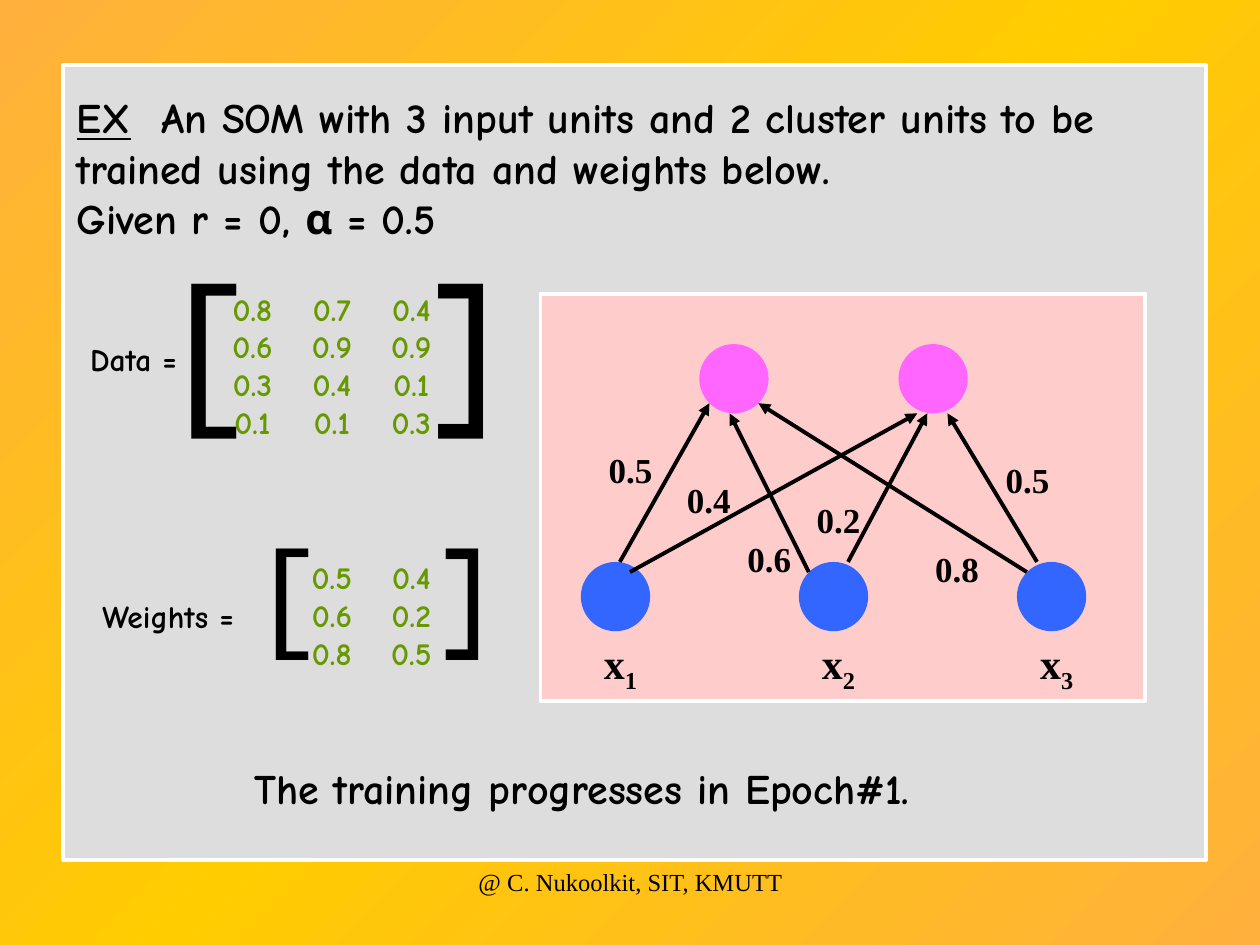
from copy import deepcopy

from pptx import Presentation
from pptx.dml.color import RGBColor
from pptx.enum import shapes, text
from pptx.oxml.ns import qn
from pptx.oxml.xmlchemy import OxmlElement
from pptx.util import Pt

BLACK = RGBColor(0, 0, 0)
WHITE = RGBColor(0xFF, 0xFF, 0xFF)
ORANGE = RGBColor(0xFF, 0xB0, 0x3D)
YELLOW = RGBColor(0xFF, 0xCC, 0x00)
GREY = RGBColor(0xDD, 0xDD, 0xDD)
ROSE = RGBColor(0xFF, 0xCC, 0xCC)
PINK = RGBColor(0xFF, 0x66, 0xFF)
BLUE = RGBColor(0x33, 0x66, 0xFF)
GREEN = RGBColor(0x66, 0x99, 0x00)
COMIC, SERIF, BRACKET = "Comic Neue", "Times New Roman", "Cabin"

HEADING = ("  An SOM with 3 input units and 2 cluster units to be trained "
           "using the data and weights below. ")
GIVEN = "Given r = 0, α = 0.5"
CLOSING = "The training progresses in Epoch#1."
FOOTER = "@ C. Nukoolkit, SIT, KMUTT"

# Matrices: label box (left, top, width), top of the numbers,
# bracket lefts, bracket top, bracket size
MATRICES = [
    dict(label="Data =", label_box=(31, 190.8, 90.7), top=162,
         rows=[(0.8, 0.7, 0.4), (0.6, 0.9, 0.9), (0.3, 0.4, 0.1), (0.1, 0.1, 0.3)],
         brackets=(93.6, 241.2), bracket_top=133.9, bracket_size=100),
    dict(label="Weights =", label_box=(36.7, 337.7, 118.8), top=315.4,
         rows=[(0.5, 0.4), (0.6, 0.2), (0.8, 0.5)],
         brackets=(139, 241.2), bracket_top=292.3, bracket_size=72),
]
LAST_COLUMN, COLUMN_STEP, COLUMN_WIDTH = 206.6, 45.4, 56.9

UNIT = 39.6
CLUSTER_LEFTS, CLUSTER_TOP = (399.6, 513.4), 196.6
INPUT_LEFT, INPUT_STEP, INPUT_TOP = 331.9, 124.6, 321.1
LABEL_WIDTH = 45.4

# Links: start, end, weight, left and top of the weight
LINKS = [
    ((354.2, 321.1), (405.4, 230.4), "0.5", (337.7, 252.7)),
    ((360, 326.9), (524.2, 236.2), "0.4", (382.3, 270)),
    ((462.2, 326.9), (416.9, 236.2), "0.6", (416.9, 303.8)),
    ((484.6, 321.1), (529.9, 236.2), "0.2", (456.5, 281.5)),
    ((586.8, 326.9), (433.4, 230.4), "0.8", (524.2, 309.6)),
    ((592.6, 321.1), (541.4, 236.2), "0.5", (564.5, 258.5)),
]

prs = Presentation()
prs.slide_width, prs.slide_height = Pt(720), Pt(540)
s = prs.slides.add_slide(prs.slide_layouts[6])


def paint_background():
    fill = s.background.fill
    fill.gradient()
    fill.gradient_angle = 135
    first, middle = fill.gradient_stops
    first.color.rgb, middle.color.rgb = ORANGE, YELLOW
    first.position, middle.position = 0, 0.5
    stops = next(s.element.iter(qn("a:gsLst")))
    last = deepcopy(stops[0])
    last.set("pos", "100000")
    stops.append(last)


def add_filled(kind, left, top, width, height, color, outlined=False):
    sp = s.shapes.add_shape(kind, Pt(left), Pt(top), Pt(width), Pt(height))
    sp.shadow.inherit = False
    sp.fill.solid()
    sp.fill.fore_color.rgb = color
    if outlined:
        sp.line.color.rgb = WHITE
        sp.line.width = Pt(2.25)
    else:
        sp.line.fill.background()


def add_text(content, left, top, width, height, size, font=COMIC, color=BLACK,
             bold=True, align=text.PP_ALIGN.CENTER):
    """Add a one-paragraph box and return the paragraph."""
    tf = s.shapes.add_textbox(Pt(left), Pt(top), Pt(width), Pt(height)).text_frame
    tf.word_wrap = True
    p = tf.paragraphs[0]
    p.text = content
    p.alignment = align
    p.font.name, p.font.size, p.font.bold = font, Pt(size), bold
    p.font.color.rgb = color
    return p


def add_matrix(m):
    columns = list(zip(*m["rows"]))
    height = 7.2 + 21.6 * len(m["rows"])
    for i, column in enumerate(columns):
        left = LAST_COLUMN - COLUMN_STEP * (len(columns) - 1 - i)
        add_text("\n".join(map(str, column)), left, m["top"], COLUMN_WIDTH,
                 height, 18, color=GREEN)
    add_text(m["label"], *m["label_box"], 28.8, 18)
    for sign, left in zip("[]", m["brackets"]):
        add_text(sign, left, m["bracket_top"], 51.1, m["bracket_size"] * 1.2 + 7.2,
                 m["bracket_size"], BRACKET, bold=False)


def add_arrow(start, end):
    c = s.shapes.add_connector(shapes.MSO_CONNECTOR.STRAIGHT,
                               *(Pt(v) for v in start + end))
    c.line.color.rgb = BLACK
    c.line.width = Pt(2.25)
    tail = OxmlElement("a:tailEnd")
    tail.set("type", "triangle")
    c.line._get_or_add_ln().append(tail)
    c._element.spPr.append(OxmlElement("a:effectLst"))


RECT, OVAL = shapes.MSO_SHAPE.RECTANGLE, shapes.MSO_SHAPE.OVAL
LEFT = text.PP_ALIGN.LEFT

paint_background()
add_filled(RECT, 36, 37.4, 653, 454.3, GREY, outlined=True)

p = add_text("", 36.7, 49, 652.3, 93.6, 24, align=LEFT)
r = p.add_run()
r.text = "EX"
r.font.underline = True
p.add_run().text = HEADING
p.add_line_break()
p.add_run().text = GIVEN

for m in MATRICES:
    add_matrix(m)

add_filled(RECT, 308.9, 167.8, 345.6, 232.6, ROSE, outlined=True)
for left in CLUSTER_LEFTS:
    add_filled(OVAL, left, CLUSTER_TOP, UNIT, UNIT, PINK)
for i in range(3):
    left = INPUT_LEFT + INPUT_STEP * i
    add_filled(OVAL, left, INPUT_TOP, UNIT, UNIT, BLUE)
    p = add_text("x", left, INPUT_TOP + UNIT, LABEL_WIDTH, 40.3, 24, SERIF)
    r = p.add_run()
    r.text = str(i + 1)
    r.font._element.set("baseline", "-25000")
for start, end, weight, corner in LINKS:
    add_arrow(start, end)
    add_text(weight, *corner, LABEL_WIDTH, 31.7, 20, SERIF)

add_text(CLOSING, 138.2, 432, 500.4, 36, 24, align=LEFT)
add_text(FOOTER, 246.2, 491.8, 228.2, 36, 14, SERIF, bold=False)

prs.save("out.pptx")
